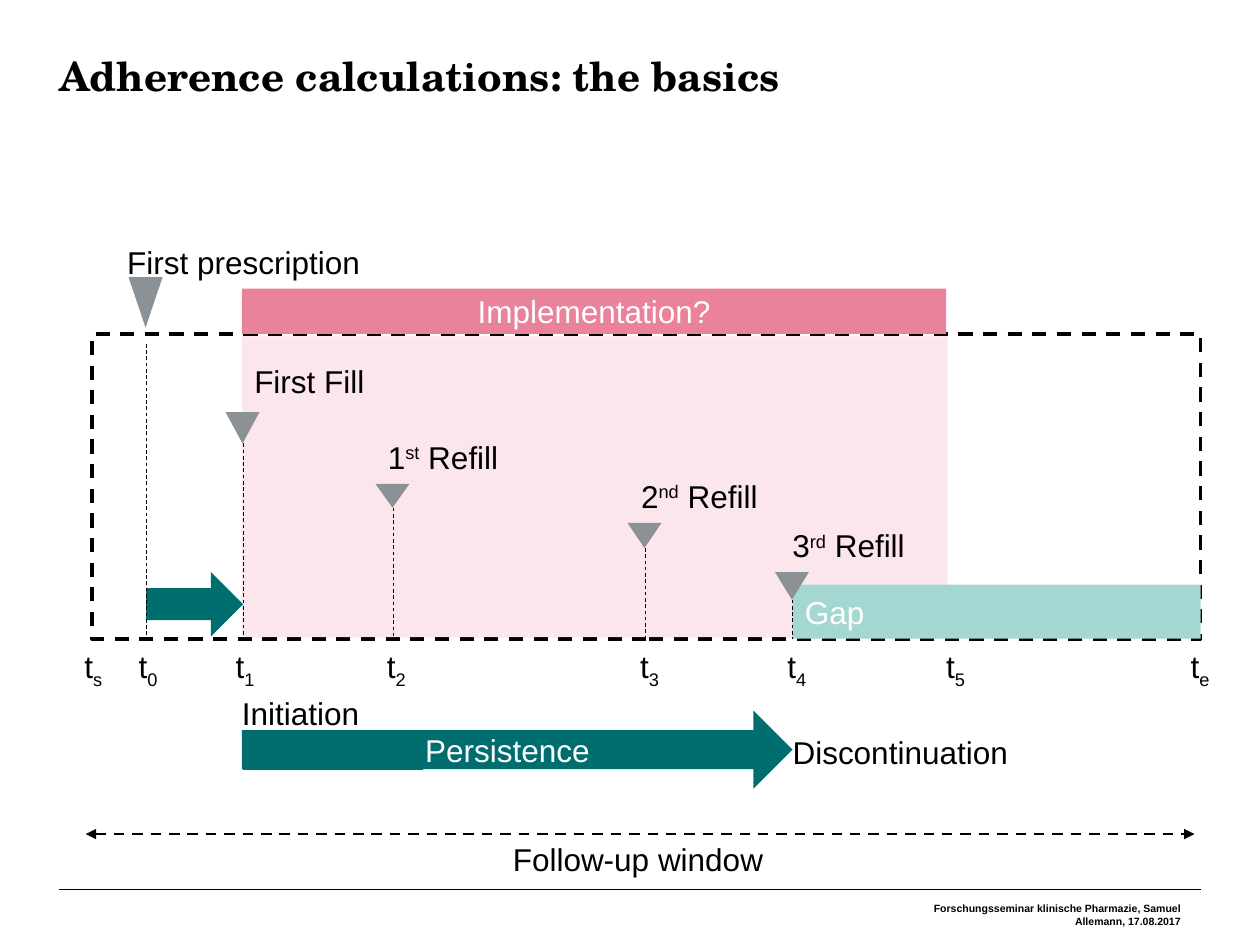
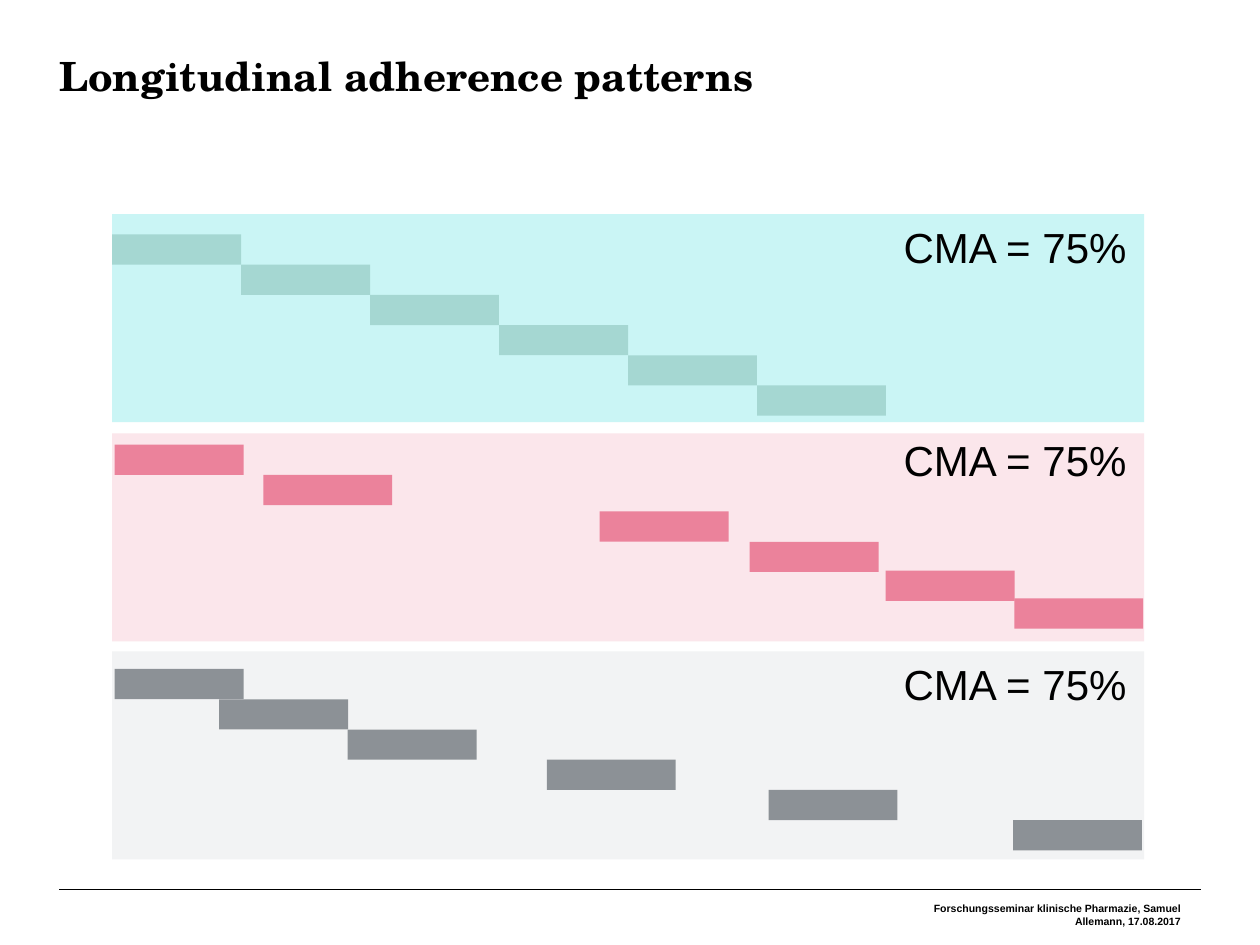
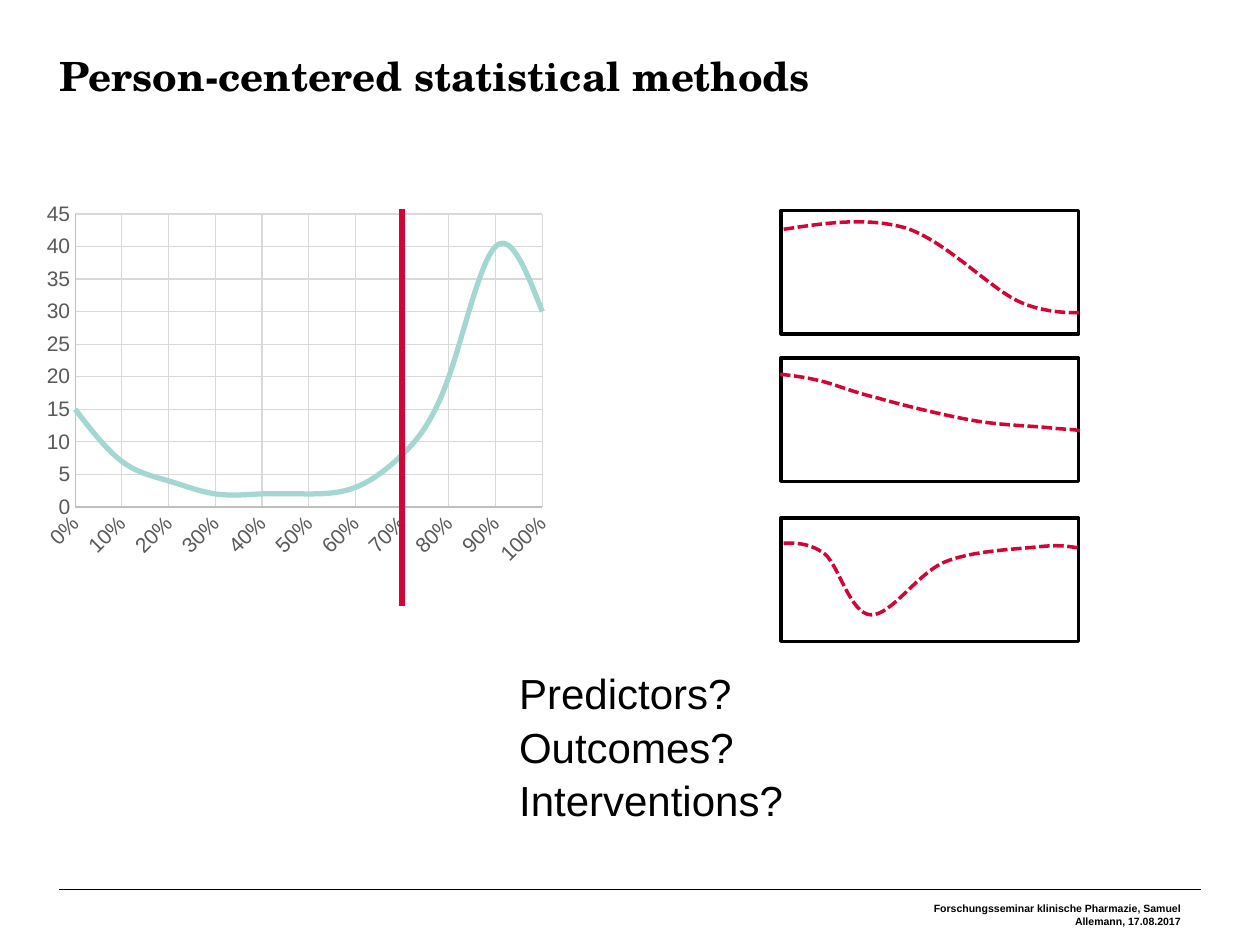
from pptx import Presentation
from pptx.chart.data import XyChartData
from pptx.dml.color import RGBColor
from pptx.enum.chart import XL_CHART_TYPE as Chart, XL_TICK_MARK as Tick
from pptx.enum.dml import MSO_LINE as Dash
from pptx.enum.shapes import MSO_SHAPE as Form, MSO_CONNECTOR as Link
from pptx.enum.text import PP_ALIGN as Align, MSO_ANCHOR as Anchor
from pptx.oxml.ns import qn
from pptx.util import Inches, Pt
from lxml.etree import SubElement

BLACK, WHITE, GREY, TEAL = "000000", "FFFFFF", "8C9196", "006E6E"
MINT, ROSE, RED = "A5D7D2", "EB829B", "D20537"
SANS, SERIF = "Arial", "TeX Gyre Schola"
FOOT = "Forschungsseminar klinische Pharmazie, Samuel Allemann, 17.08.2017"


def hue(code):
    return RGBColor.from_string(code)


def inch(*nums):
    return [Inches(n) for n in nums]


def write(frame, runs, size=18, color=BLACK, font=SANS, bold=False,
          align=None, lead=None, pad=None, mid=False, wrap=True):
    frame.word_wrap = wrap
    frame.vertical_anchor = Anchor.MIDDLE if mid else Anchor.TOP
    if pad is not None:
        frame.margin_left = frame.margin_right = Inches(0)
        frame.margin_top, frame.margin_bottom = Inches(pad), Inches(0)
    para = frame.paragraphs[0]
    para.alignment = align
    if lead:
        para.line_spacing = Pt(lead)
    for words, base in runs:
        run = para.add_run()
        run.text = words
        run.font.size, run.font.name, run.font.bold = Pt(size), font, bold
        run.font.color.rgb = hue(color)
        if base:
            run._r.get_or_add_rPr().set("baseline", str(base * 1000))


def text(area, box, runs, **style):
    write(area.add_textbox(*inch(*box)).text_frame, runs, **style)


def plain(area, box, words, **style):
    text(area, box, [(words, 0)], lead=22, pad=0, **style)


def stroke(line, color, width, dash=None):
    line.color.rgb, line.width = hue(color), Pt(width)
    if dash:
        line.dash_style = dash


def shape(area, box, fill=None, form=Form.RECTANGLE, alpha=None):
    item = area.add_shape(form, *inch(*box))
    item.shadow.inherit = False
    item.line.fill.background()
    if fill:
        item.fill.solid()
        item.fill.fore_color.rgb = hue(fill)
    else:
        item.fill.background()
    if alpha:
        tone = item._element.spPr.find(".//" + qn("a:srgbClr"))
        SubElement(tone, qn("a:alpha"), val=str(alpha * 1000))
    return item


def rule(area, start, end, color=BLACK, width=0.5, dash=None, heads=False):
    link = area.add_connector(Link.STRAIGHT, *inch(*start, *end))
    stroke(link.line, color, width, dash)
    if heads:
        for tag in ("a:headEnd", "a:tailEnd"):
            SubElement(link.line._get_or_add_ln(), qn(tag), type="triangle")
    SubElement(link._element.spPr, qn("a:effectLst"))


def page(deck, title):
    slide = deck.slides.add_slide(deck.slide_layouts[5])
    area = slide.shapes
    rule(area, (0.47, 7.06), (9.53, 7.06), width=0.25)
    head = area.title
    head.left, head.top, head.width, head.height = inch(0.47, 0.44, 9.06, 0.83)
    write(head.text_frame, [(title, 0)], size=23, font=SERIF, bold=True,
          align=Align.LEFT, lead=25, pad=0)
    text(area, (7.28, 7.14, 2.09, 0.2), [(FOOT, 0)], size=6, bold=True,
         align=Align.RIGHT, pad=0.02)
    return area


def marker(area, x, top, high, start, end):
    group = area.add_group_shape().shapes
    shape(group, (x - 0.14, top, 0.27, high), GREY, Form.ISOSCELES_TRIANGLE).rotation = 180
    rule(group, (x, start), (x, end), dash=Dash.DASH)


def ticks(area, x, y):
    marks = [("s", -0.06, 0.39), ("0", 0.37, 1), ("1", 1.14, 1), ("2", 2.34, 0.62),
             ("3", 4.35, 1), ("4", 5.52, 0.33), ("5", 6.78, 0.33), ("e", 8.72, 0.39)]
    for sub, dx, wide in marks:
        text(area, (x + dx, y, wide, 0.33), [("t", 0), (sub, -25)],
             lead=22, pad=0, wrap=False)


def window(area, x, y, w, h):
    ticks(area, x, y + 2.52)
    stroke(shape(area, (x, y, w, h)).line, BLACK, 2, Dash.DASH)
    shape(area, (x + 1.19, y + 0.02, 5.6, 2.39), ROSE, alpha=20)
    plain(area, (x + 0.28, y - 0.73, 1.97, 0.31), "First prescription", wrap=False)
    fills = [(1.19, 0.16, 1.5, [("First Fill", 0)]),
             (2.25, 0.76, 1.17, [("1", 0), ("st", 30), (" Refill", 0)]),
             (4.26, 1.07, 1.2, [("2", 0), ("nd", 30), (" Refill", 0)]),
             (5.46, 1.46, 1.33, [("3", 0), ("rd", 30), (" Refill", 0)])]
    for dx, dy, wide, runs in fills:
        text(area, (x + dx, y + dy, wide, 0.43), runs, mid=True)
    shape(area, (x + 0.43, y + 1.89, 0.77, 0.51), TEAL, Form.RIGHT_ARROW)
    bar = shape(area, (x + 1.19, y - 0.36, 5.59, 0.36), ROSE)
    write(bar.text_frame, [("Implementation?", 0)], color=WHITE, align=Align.CENTER, mid=True)
    gap = shape(area, (x + 5.56, y + h - 0.43, w - 5.56, 0.43), MINT)
    write(gap.text_frame, [("Gap", 0)], color=WHITE, align=Align.LEFT, mid=True)
    for dx, top, high in [(1.2, 0.62, 0.25), (2.39, 1.19, 0.19),
                          (4.39, 1.5, 0.2), (5.56, 1.89, 0.22)]:
        marker(area, x + dx, y + top, high, y + top + high, y + h)
    marker(area, x + 0.43, y - 0.45, 0.4, y + 0.08, y + 2.4)


def phases(area, x, y):
    plain(area, (x, y, 1.32, 0.3), "Initiation", wrap=False)
    plain(area, (x + 4.37, y + 0.31, 1.75, 0.3), "Discontinuation", wrap=False)
    arrow = shape(area, (x, y + 0.14, 4.37, 0.62), TEAL, Form.RIGHT_ARROW)
    write(arrow.text_frame, [("Persistence", 0)], color=WHITE, align=Align.CENTER, mid=True)
    shape(area, (x + 0.01, y + 0.3, 1.43, 0.31), TEAL)


def span(area, x, y, w):
    rule(area, (x, y), (x + w, y), width=1.5, dash=Dash.DASH, heads=True)
    plain(area, (x + 3.39, y + 0.04, 2.11, 0.31), "Follow-up window", wrap=False)


def panel(area, box, back, fore, doses, label):
    x, y, w, h = box
    shape(area, box, back)
    for dx, dy in doses:
        shape(area, (x + dx, y + dy, w / 8, 0.24), fore)
    plain(area, (x + w - 1.95, y + label, 1.81, 0.24), "CMA = 75%",
          size=24, align=Align.RIGHT)


def graph(area, box):
    data = XyChartData()
    row = data.add_series("Series 1")
    for i, value in enumerate([15, 7, 4, 2, 2, 2, 3, 8, 20, 40, 30]):
        row.add_data_point(i / 10, value)
    chart = area.add_chart(Chart.XY_SCATTER_SMOOTH_NO_MARKERS, *inch(*box), data).chart
    chart.has_legend = chart.has_title = False
    chart.font.size, chart.font.name = Pt(10), SANS
    chart.font.color.rgb = hue(BLACK)
    chart.plots[0].vary_by_categories = False
    line = chart.plots[0].series[0]
    line._element.find(qn("c:smooth")).set("val", "1")
    stroke(line.format.line, MINT, 3)
    axes = [(chart.category_axis, 1, 0.1, "0%"), (chart.value_axis, 45, 5, "General")]
    for axis, top, unit, form in axes:
        axis.minimum_scale, axis.maximum_scale, axis.major_unit = 0, top, unit
        axis.major_tick_mark = axis.minor_tick_mark = Tick.NONE
        axis.has_major_gridlines = True
        stroke(axis.major_gridlines.format.line, "D9D9D9", 0.75)
        stroke(axis.format.line, "BFBFBF", 0.75)
        labels = axis.tick_labels
        labels.number_format, labels.number_format_is_linked = form, False
        labels.font.size, labels.font.name = Pt(12), SANS
        labels.font.color.rgb = hue("595959")


def soften(curve):
    legs = list(curve._element.iter(qn("a:lnTo")))
    for i in range(0, len(legs), 3):
        bend = SubElement(legs[i].getparent(), qn("a:cubicBezTo"))
        for leg in legs[i:i + 3]:
            bend.append(leg[0])
            leg.getparent().remove(leg)


def trend(area, box, start, bends):
    x, y = box[:2]
    group = area.add_group_shape().shapes
    stroke(shape(group, box).line, BLACK, 2)
    dots = [inch(x + bend[k], y + bend[k + 1]) for bend in bends for k in (0, 2, 4)]
    pen = group.build_freeform(*inch(x + start[0], y + start[1]))
    pen.add_line_segments(dots, close=False)
    curve = pen.convert_to_shape()
    soften(curve)
    curve.shadow.inherit = False
    curve.fill.background()
    stroke(curve.line, RED, 2, Dash.SQUARE_DOT)


def basics(deck):
    area = page(deck, "Adherence calculations: the basics")
    window(area, 0.73, 2.65, 8.8, 2.42)
    phases(area, 1.92, 5.5)
    span(area, 0.68, 6.62, 8.8)


def patterns(deck):
    area = page(deck, "Longitudinal adherence patterns")
    wide = 8.19
    rows = [
        (1.7, "CAF5F5", MINT, [(i * wide / 8, 0.16 + i * 0.24) for i in range(6)], 0.15),
        (3.44, "FBE6EB", ROSE, [(0.02, 0.09), (1.2, 0.33), (3.87, 0.62), (5.06, 0.86),
                                (6.14, 1.09), (7.16, 1.31)], 0.1),
        (5.17, "F2F3F4", GREY, [(dx, 0.14 + i * 0.24) for i, dx in
                                enumerate([0.02, 0.85, 1.87, 3.45, 5.21, 7.15])], 0.15)]
    for top, *row in rows:
        panel(area, (0.89, top, wide, 1.65), *row)


def methods(deck):
    area = page(deck, "Person-centered statistical methods")
    graph(area, (0.28, 1.55, 4.17, 3))
    rule(area, (3.19, 1.66), (3.19, 4.81), RED, 3)
    trends = [
        (1.67, (0.02, 0.15), [(0.35, 0.1, 0.68, 0.05, 0.99, 0.14),
                              (1.3, 0.24, 1.65, 0.61, 1.88, 0.72),
                              (2.11, 0.83, 2.38, 0.81, 2.38, 0.81)]),
        (4.11, (0.02, 0.2), [(0.13, 0.2, 0.23, 0.2, 0.35, 0.29),
                             (0.46, 0.39, 0.55, 0.76, 0.71, 0.77),
                             (0.87, 0.78, 1.08, 0.44, 1.3, 0.35),
                             (1.52, 0.26, 1.86, 0.25, 2.04, 0.23),
                             (2.22, 0.21, 2.29, 0.23, 2.37, 0.24)]),
        (2.84, (-0.01, 0.13), [(0.08, 0.14, 0.17, 0.15, 0.3, 0.18),
                               (0.43, 0.21, 0.56, 0.27, 0.77, 0.32),
                               (0.98, 0.38, 1.31, 0.46, 1.54, 0.5),
                               (1.78, 0.54, 2.03, 0.54, 2.17, 0.56),
                               (2.31, 0.57, 2.34, 0.57, 2.37, 0.58)])]
    for top, start, bends in trends:
        trend(area, (6.2, top, 2.36, 0.98), start, bends)
    asks = [("Predictors?", 5.39, 1.73), ("Outcomes?", 5.82, 1.73),
            ("Interventions?", 6.24, 2.11)]
    for word, top, wide in asks:
        plain(area, (4.12, top, wide, 0.31), word, size=24)


deck = Presentation()
deck.slide_width, deck.slide_height = inch(10, 7.5)
for build in (basics, patterns, methods):
    build(deck)
deck.save("out.pptx")
